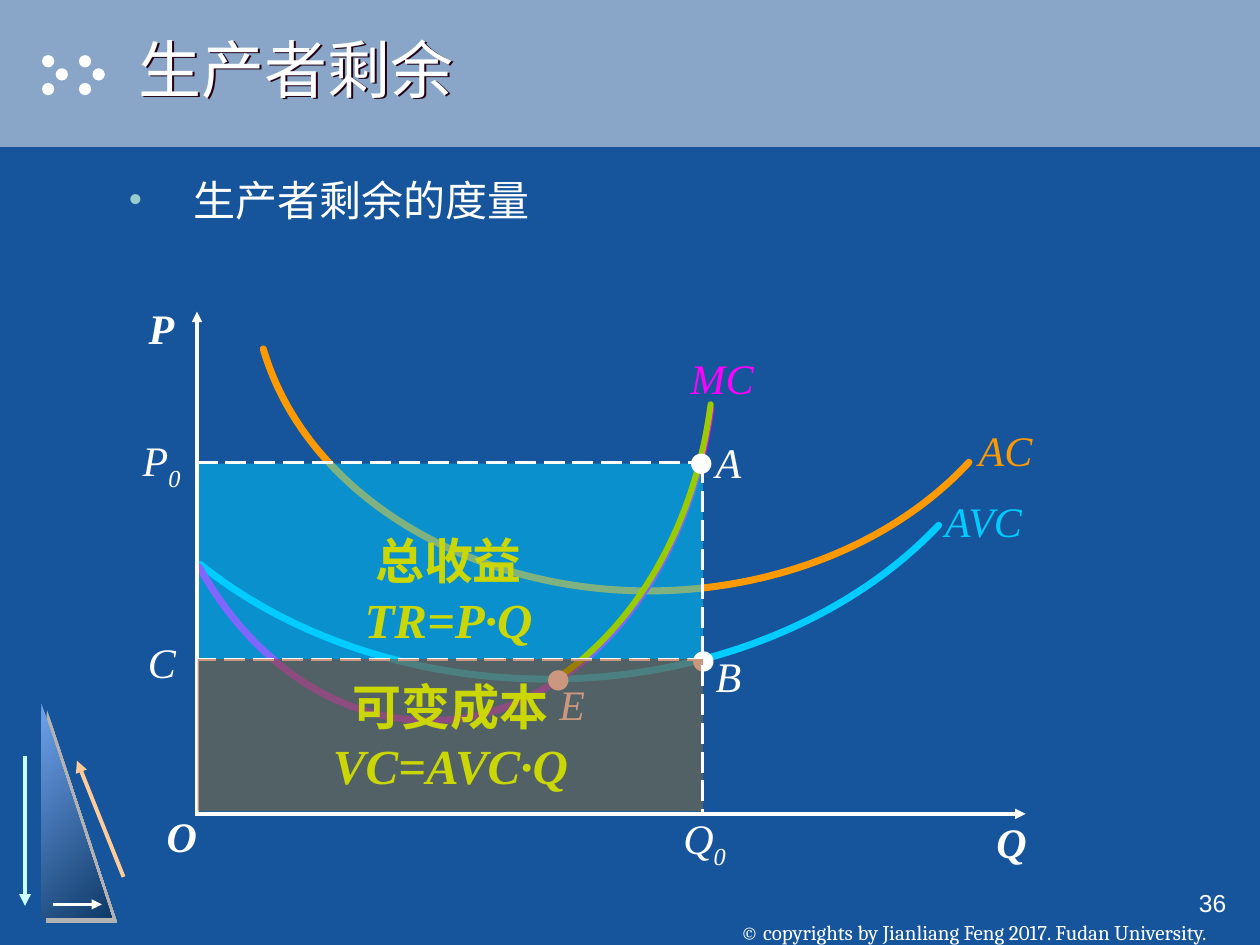
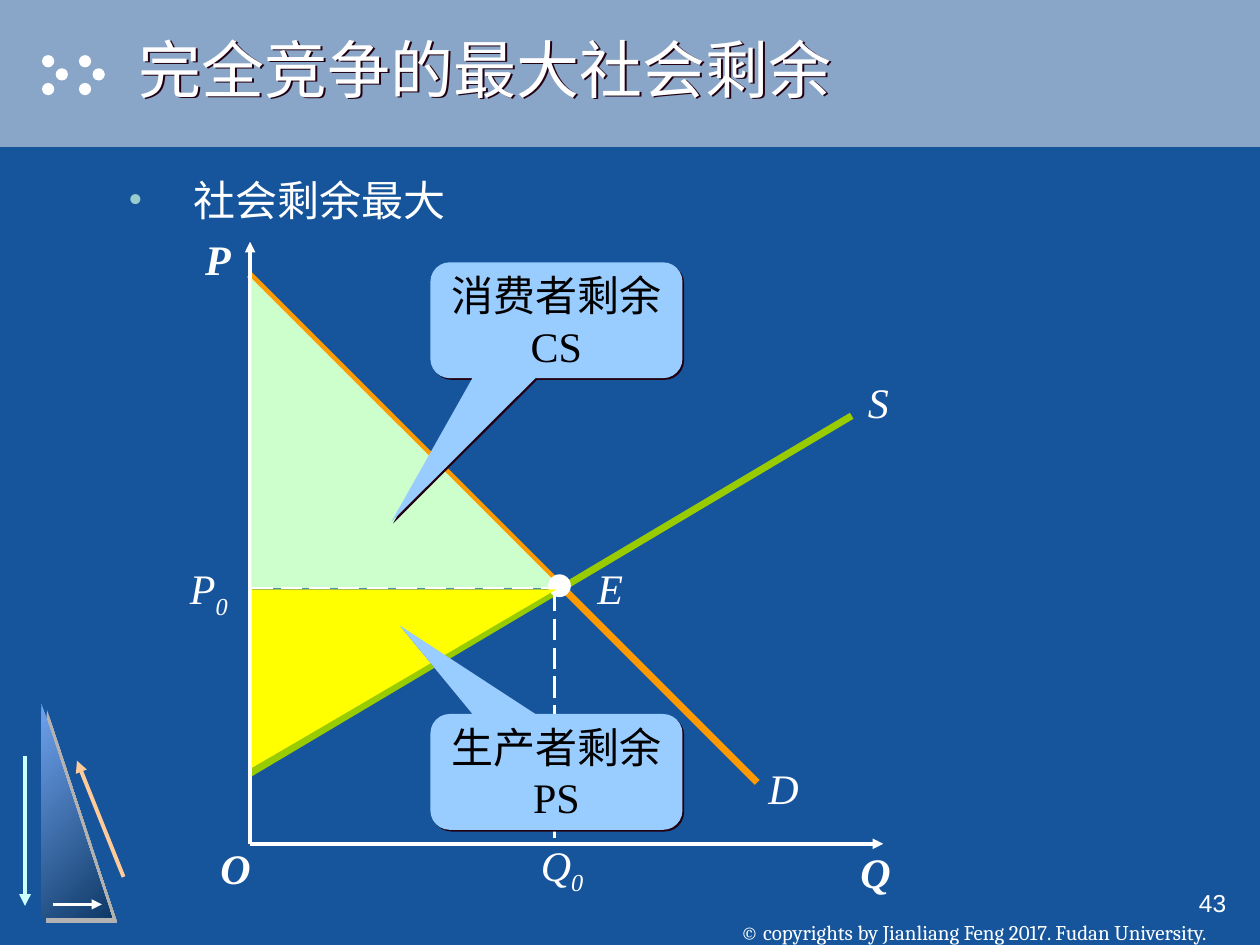
from copy import deepcopy

from lxml import etree
from pptx import Presentation
from pptx.dml.color import RGBColor
from pptx.enum import dml, shapes, text
from pptx.oxml import ns
from pptx.util import Pt

# Colours and fonts
WHITE = RGBColor(0xFF, 0xFF, 0xFF)
BLACK = RGBColor(0, 0, 0)
BACKGROUND = RGBColor(0x16, 0x55, 0x9B)
BAND = RGBColor(0x89, 0xA5, 0xC7)
BULLET = RGBColor(0x99, 0xCC, 0xCC)
PYRAMID_LIGHT = RGBColor(0x6F, 0xA2, 0xED)
PYRAMID_DARK = RGBColor(0x0F, 0x3A, 0x68)
GREY = RGBColor(0xB2, 0xB2, 0xB2)
SHADE = RGBColor(0x22, 0, 0x11)
PALE_CYAN = RGBColor(0xCC, 0xFF, 0xFF)
PEACH = RGBColor(0xFF, 0xCC, 0x99)
CYAN = RGBColor(0, 0xCC, 0xFF)
ORANGE = RGBColor(0xFF, 0x99, 0)
MAGENTA = RGBColor(0xFF, 0, 0xFF)
GREEN = RGBColor(0x99, 0xCC, 0)
BROWN = RGBColor(0x99, 0x33, 0)
LIME = RGBColor(0xCA, 0xD7, 0x04)
MINT = RGBColor(0xCC, 0xFF, 0xCC)
YELLOW = RGBColor(0xFF, 0xFF, 0)
SKY = RGBColor(0x99, 0xCC, 0xFF)

SANS, SERIF, FOOTER_FONT = "Arial", "Times New Roman", "Cambria"
FOOTER = " © copyrights by Jianliang Feng 2017. Fudan University."
KIND = shapes.MSO_SHAPE
ALIGN = text.PP_ALIGN
ANCHOR = text.MSO_ANCHOR

# Content: each diagram is a list of (kind, values...), from back to front.
# Curves hold a start point, Bezier control points and, last, the arc's centre.
AVC = [(536.4, 300.2), (484.6, 355), (401.8, 388.1), (313.2, 388.1),
       (238.3, 388.1), (166.3, 364.3), (114.5, 322.6), (313.2, 176.4)]
AC = [(553.7, 264.2), (511.2, 310.3), (442.8, 337.7), (370.8, 337.7),
      (265.7, 337.7), (174.2, 280.8), (150.5, 199.4), (370.8, 159.8)]
MC = [(406.1, 233.3), (392.4, 336.2), (324.7, 411.8), (245.5, 411.8),
      (193.7, 411.8), (144.7, 379.4), (113.8, 324), (245.5, 198)]
SUPPLY = [(406.1, 231.1), (397.4, 298.8), (364.3, 357.1), (317.5, 388.1),
          (245.5, 195.8)]

PRODUCER_SURPLUS = [
    ("curve", AVC, CYAN, 4),
    ("label", "AVC", 532.8, 279.8, 59.8, CYAN),
    ("curve", AC, ORANGE, 4),
    ("label", "AC", 552.2, 239, 45.4, ORANGE),
    ("label", "MC", 387.6, 198, 50.4, MAGENTA),
    ("curve", MC, MAGENTA, 4),
    ("area", (113, 265, 288.7, 198.7), CYAN),
    ("formula", "总收益", "TR=P·Q", (201.2, 299.8, 110.2, 74.9)),
    ("axis", (112.6, 465.1), (112.6, 178.1)),
    ("axis", (111.6, 465.1), (586.1, 465.1)),
    ("axis_name", "P", 77.9, 169.2, 28.8),
    ("axis_name", "O", 88.2, 459.8, 31.7),
    ("axis_name", "Q", 562.3, 463, 31.7),
    ("curve", SUPPLY, GREEN, 3.5),
    ("label", "E", 312.5, 384.1, 29.5),
    ("dot", 319, 388.8, 11.6),
    ("guide", (111.6, 376.8), (398.9, 376.8)),
    ("dot", 401.9, 378, 11.6),
    ("label", "B", 401.8, 367.9, 29.5),
    ("label", "C", 77.4, 360, 30.2),
    ("area", (113, 376.6, 288.7, 87.1), BROWN),
    ("formula", "可变成本", "VC=AVC·Q", (181.8, 383, 151.2, 74.9)),
    ("guide", (112.3, 264.4), (399.6, 264.4)),
    ("guide", (401.6, 264.2), (401.6, 465.1)),
    ("label", "P0", 74.5, 244.8, 36),
    ("label", "Q0", 383.4, 460.8, 38.9),
    ("label", "A", 401.9, 246.2, 29.5),
    ("dot", 400.7, 265, 11.6),
]
SOCIAL_SURPLUS = [
    ("straight", (142.6, 442.1), (486.7, 237.6), GREEN, 4),
    ("label", "S", 488.9, 211.4, 25.9),
    ("straight", (142.6, 157), (432.7, 447.1), ORANGE, 4),
    ("label", "D", 432, 432, 31.7),
    ("axis", (142.9, 482.4), (142.9, 138.2)),
    ("axis", (142.9, 482.2), (504.7, 482.2)),
    ("axis_name", "Q", 484.6, 480.2, 31.7),
    ("axis_name", "O", 118.8, 478.1, 31.7),
    ("axis_name", "P", 110.2, 129.9, 28.8),
    ("triangle", (143.7, 159.1, 177.4, 177.1), MINT, 0),
    ("guide", (143.8, 336), (321.8, 336)),
    ("guide", (316.8, 337), (316.8, 478.8)),
    ("label", "Q0", 302, 475.9, 38.9),
    ("dot", 319.7, 334.7, 13),
    ("label", "P0", 101.5, 318.2, 36),
    ("label", "E", 334.3, 318.2, 28.8),
    ("triangle", (179.7, 300.8, 102.2, 174.2), YELLOW, 90),
    ("callout", "生产者剩余PS", 408, (-0.623, -1.265, 0.167)),
    ("callout", "消费者剩余CS", 149.9, (-0.655, 1.74, 0.167)),
]
SLIDES = [
    ("生产者剩余", "生产者剩余的度量", "36", PRODUCER_SURPLUS),
    ("完全竞争的最大社会剩余", "社会剩余最大", "43", SOCIAL_SURPLUS),
]


# Low-level helpers
def add_xml(parent, tag, **attributes):
    return etree.SubElement(parent, ns.qn(tag), **attributes)


def add_shadow(properties, color, distance):
    """Hard shadow towards the lower right."""
    effects = properties.find(ns.qn("a:effectLst"))
    if effects is None:
        effects = add_xml(properties, "a:effectLst")
    shadow = add_xml(effects, "a:outerShdw", dist=str(Pt(distance)), dir="2700000",
                     algn="ctr", rotWithShape="0")
    add_xml(shadow, "a:srgbClr", val=str(color))


def add_block(slide, kind, box, color=None):
    block = slide.shapes.add_shape(kind, *map(Pt, box))
    block.shadow.inherit = False
    block.line.fill.background()
    if color is not None:
        block.fill.solid()
        block.fill.fore_color.rgb = color
    return block


def style(paragraph, size, font, color, align=ALIGN.LEFT, bold=False, italic=False):
    paragraph.alignment = align
    face = paragraph.font
    face.size, face.name, face.bold, face.italic = Pt(size), font, bold, italic
    face.color.rgb = color


def add_text(slide, box, wrap=True, anchor=ANCHOR.TOP):
    words = slide.shapes.add_textbox(*map(Pt, box))
    words.text_frame.word_wrap = wrap
    words.text_frame.vertical_anchor = anchor
    return words


def straight(slide, start, end, color, width, dash=None, arrow=False):
    line = slide.shapes.add_connector(shapes.MSO_CONNECTOR.STRAIGHT,
                                      *map(Pt, (*start, *end)))
    line.line.color.rgb = color
    line.line.width = Pt(width)
    if dash:
        line.line.dash_style = dash
    properties = line._element.spPr
    if arrow:
        add_xml(properties.find(ns.qn("a:ln")), "a:tailEnd", type="triangle")
    add_xml(properties, "a:effectLst")


# Diagram parts
def curve(slide, points, color, width):
    start, *rest = [tuple(map(Pt, point)) for point in points]
    builder = slide.shapes.build_freeform(*start)
    builder.add_line_segments(rest, close=False)
    arc = builder.convert_to_shape()
    arc.shadow.inherit = False
    arc.fill.background()
    arc.line.color.rgb = color
    arc.line.width = Pt(width)
    properties = arc._element.spPr
    ln = properties.find(ns.qn("a:ln"))
    ln.set("cap", "rnd")
    add_xml(ln, "a:round")

    # Turn each three steps into one Bezier segment; the centre closes the sector
    outline = next(properties.iter(ns.qn("a:path")))
    *steps, to_centre = outline.findall(ns.qn("a:lnTo"))
    outline.remove(to_centre)
    for first in range(0, len(steps), 3):
        segment = add_xml(outline, "a:cubicBezTo")
        for step in steps[first:first + 3]:
            segment.append(step[0])
            outline.remove(step)
    sector = deepcopy(outline)
    sector.set("stroke", "0")
    sector.append(to_centre)
    add_xml(sector, "a:close")
    outline.set("fill", "none")
    outline.addnext(sector)


def label(slide, name, left, top, width, color=WHITE, bold=False):
    frame = add_text(slide, (left, top, width, 36), wrap=False).text_frame
    paragraph = frame.paragraphs[0]
    is_indexed = name.endswith("0")
    paragraph.add_run().text = name[:-1] if is_indexed else name
    if is_indexed:
        index = paragraph.add_run()
        index.text = name[-1]
        index._r.get_or_add_rPr().set("baseline", "-25000")
    style(paragraph, 24, SERIF, color, bold=bold, italic=True)


def axis_name(slide, name, left, top, width):
    label(slide, name, left, top, width, bold=True)


def axis(slide, start, end):
    straight(slide, start, end, WHITE, 2, arrow=True)


def guide(slide, start, end):
    straight(slide, start, end, WHITE, 1.5, dash=dml.MSO_LINE.LONG_DASH)


def dot(slide, x, y, size):
    add_block(slide, KIND.OVAL, (x - size / 2, y - size / 2, size, size), WHITE)


def area(slide, box, color):
    block = add_block(slide, KIND.RECTANGLE, box, color)
    fill_color = block._element.spPr.find(ns.qn("a:solidFill"))[0]
    add_xml(fill_color, "a:alpha", val="50000")


def triangle(slide, box, color, rotation):
    add_block(slide, KIND.RIGHT_TRIANGLE, box, color).rotation = rotation


def formula(slide, name, equation, box):
    frame = add_text(slide, box, wrap=False).text_frame
    frame.text = f"{name}\n{equation}"
    for paragraph, font in zip(frame.paragraphs, (SANS, SERIF)):
        style(paragraph, 28, font, LIME, ALIGN.CENTER, bold=True, italic=font == SERIF)


def callout(slide, words, top, pointer):
    bubble = add_block(slide, KIND.ROUNDED_RECTANGULAR_CALLOUT,
                       (246, top, 144, 66.2), SKY)
    for position, value in enumerate(pointer):
        bubble.adjustments[position] = value
    add_shadow(bubble._element.spPr, SHADE, 1.4)
    frame = bubble.text_frame
    frame.word_wrap = True
    frame.vertical_anchor = ANCHOR.MIDDLE
    frame.text = words
    style(frame.paragraphs[0], 24, SERIF, BLACK, ALIGN.CENTER)


DRAW = {"curve": curve, "label": label, "axis_name": axis_name, "axis": axis,
        "guide": guide, "dot": dot, "area": area, "triangle": triangle,
        "formula": formula, "callout": callout, "straight": straight}


# Parts shared by all slides
def add_frame(slide, title, topic, number):
    slide.background.fill.solid()
    slide.background.fill.fore_color.rgb = BACKGROUND
    add_block(slide, KIND.RECTANGLE, (0, 0, 720, 84), BAND)

    # Two chevrons of three dots
    for x in (27.5, 48.6):
        for dx, y in ((0, 35), (7.8, 42.5), (0, 50.9)):
            dot(slide, x + dx, y, 7)

    # Pyramid with arrows
    pyramid = add_block(slide, KIND.RIGHT_TRIANGLE, (23.7, 402, 40.2, 122.2))
    pyramid.fill.gradient()
    pyramid.fill.gradient_angle = 315
    for stop, color in zip(pyramid.fill.gradient_stops, (PYRAMID_LIGHT, PYRAMID_DARK)):
        stop.color.rgb = color
    add_shadow(pyramid._element.spPr, GREY, 4.2)
    straight(slide, (14.3, 432), (14.3, 517.7), PALE_CYAN, 2.25, arrow=True)
    straight(slide, (70.6, 501.1), (44, 434.7), PEACH, 2.25, arrow=True)
    straight(slide, (30.5, 516.8), (58.3, 516.8), WHITE, 1.5, arrow=True)

    # Footer and slide number
    footer = add_text(slide, (390.2, 504, 329.8, 36), False, ANCHOR.BOTTOM).text_frame
    footer.margin_top = footer.margin_bottom = 0
    footer.text = FOOTER
    style(footer.paragraphs[0], 12, FOOTER_FONT, WHITE, ALIGN.CENTER)
    page = add_text(slide, (558, 504, 149.8, 36)).text_frame
    page.text = number
    style(page.paragraphs[0], 14, SANS, WHITE, ALIGN.RIGHT)

    # Title and topic
    heading = add_text(slide, (72, 0, 648, 77.8), anchor=ANCHOR.MIDDLE)
    heading.text_frame.text = title
    style(heading.text_frame.paragraphs[0], 36, SANS, WHITE)
    add_shadow(heading._element.spPr, SHADE, 1.4)
    body = add_text(slide, (66.2, 96, 588.2, 360)).text_frame
    body.text = topic
    paragraph = body.paragraphs[0]
    properties = paragraph._p.get_or_add_pPr()
    properties.set("marL", str(Pt(37.5)))
    properties.set("indent", str(Pt(-37.5)))
    add_xml(add_xml(properties, "a:buClr"), "a:srgbClr", val=str(BULLET))
    add_xml(properties, "a:buFont", typeface=SERIF)
    add_xml(properties, "a:buChar", char="•")
    style(paragraph, 24, SERIF, WHITE)


def main():
    deck = Presentation()
    deck.slide_width, deck.slide_height = Pt(720), Pt(540)
    for title, topic, number, diagram in SLIDES:
        slide = deck.slides.add_slide(deck.slide_layouts[6])
        add_frame(slide, title, topic, number)
        for kind, *values in diagram:
            DRAW[kind](slide, *values)
    deck.save("out.pptx")


if __name__ == "__main__":
    main()
